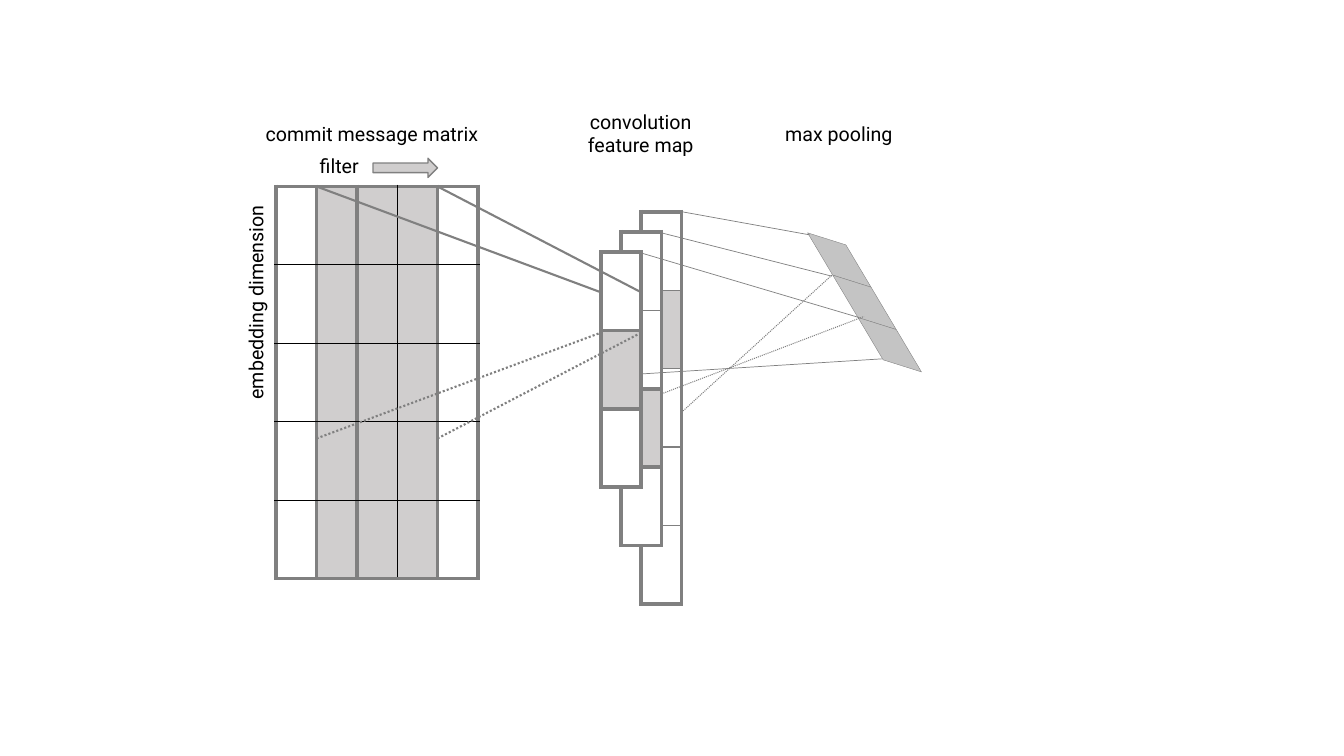
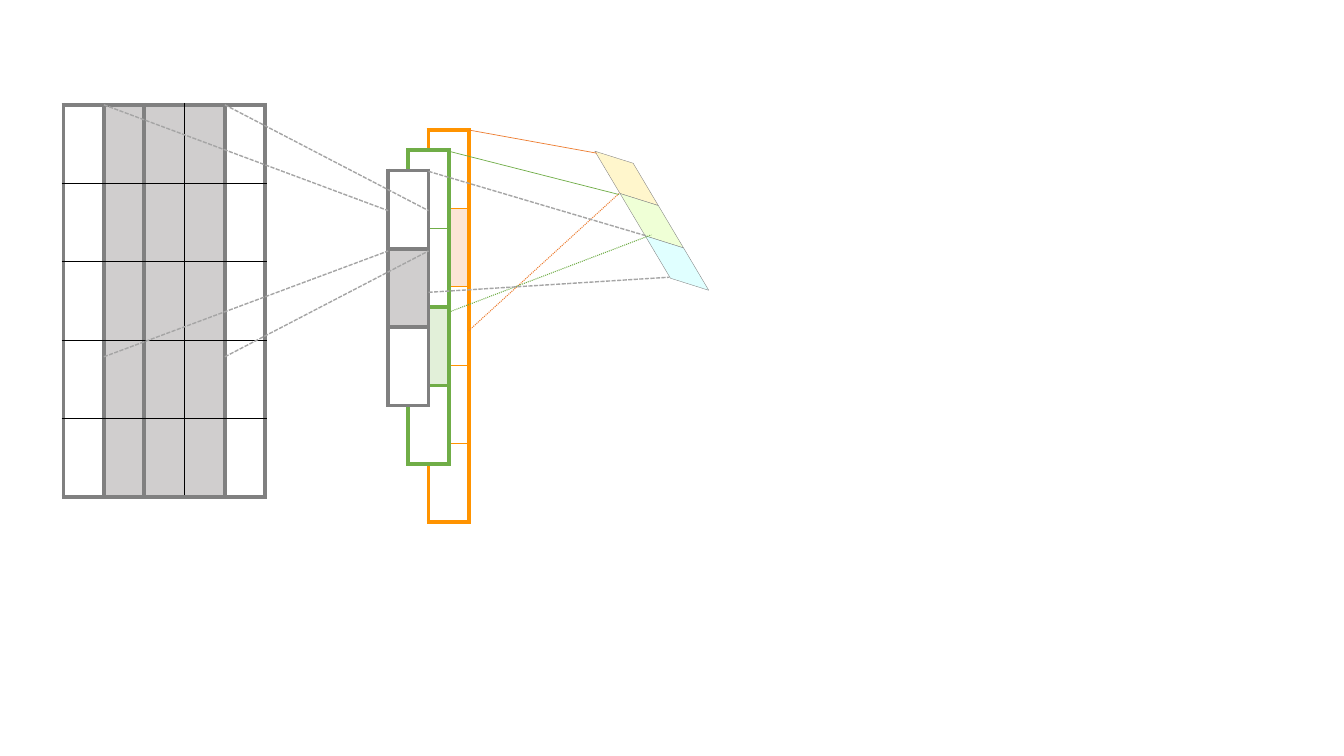
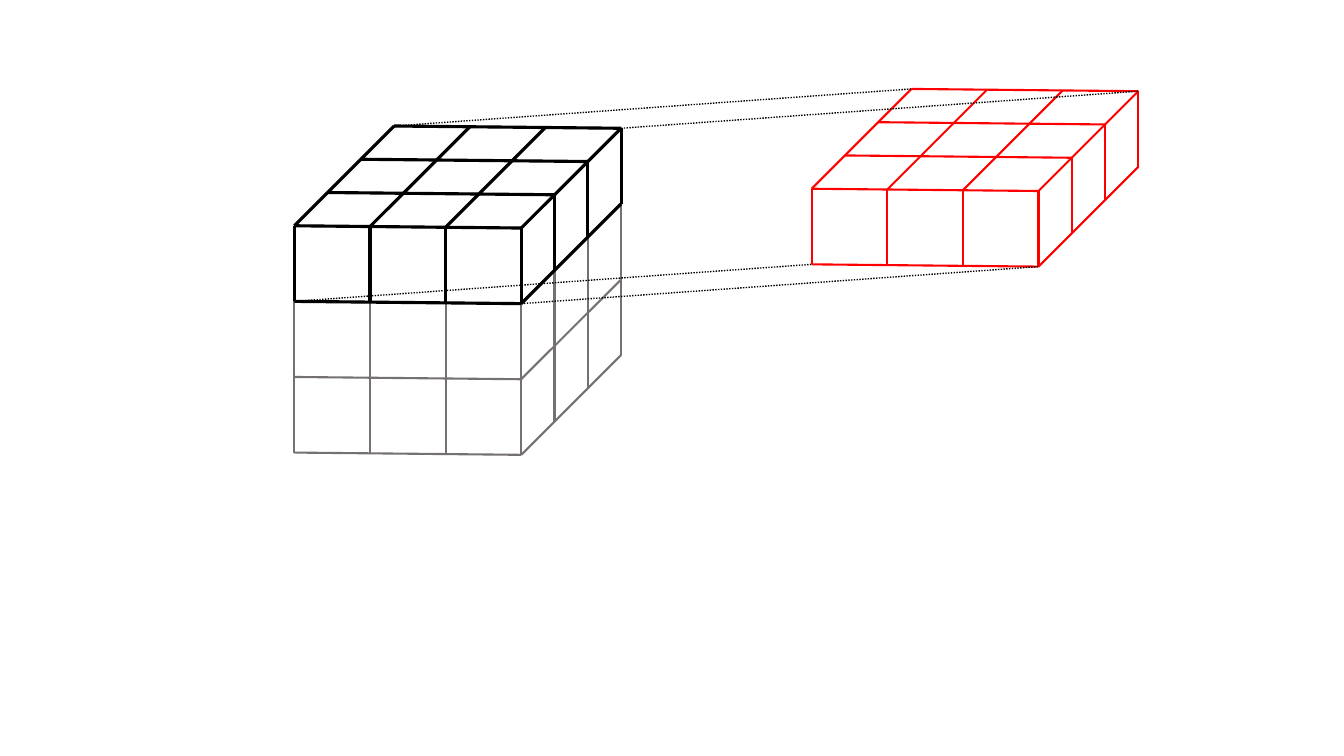
from dataclasses import dataclass

from pptx import Presentation
from pptx.dml.color import RGBColor
from pptx.enum.dml import MSO_LINE
from pptx.enum.shapes import MSO_CONNECTOR, MSO_SHAPE
from pptx.enum.text import MSO_AUTO_SIZE, PP_ALIGN
from pptx.oxml.ns import qn
from pptx.util import Inches, Pt
from lxml.etree import SubElement


@dataclass(frozen=True)
class Theme:
    font: str = "Roboto"
    size: float = 14
    black: str = "000000"
    white: str = "FFFFFF"
    gray: str = "808080"
    shade: str = "D0CECE"
    pooled: str = "C4C4C4"
    dash: str = "A5A5A5"
    cube: str = "767171"
    red: str = "FF0000"
    orange: str = "FF9300"
    coral: str = "ED7D31"
    peach: str = "FBE5D6"
    green: str = "70AD47"
    mint: str = "E2F0D9"
    tints: tuple = ("FFF6CC", "EFFFD6", "E0FFFF")
    thick: float = 3
    bold: float = 2.25
    medium: float = 1.5
    thin: float = 1
    dotted: float = 0.75
    fine: float = 0.5
    hair: float = 0.25


T = Theme()
DOT, DASH = MSO_LINE.ROUND_DOT, MSO_LINE.SQUARE_DOT


class Deck:
    def __init__(self):
        self.prs = Presentation()
        self.prs.slide_width, self.prs.slide_height = Inches(13.33), Inches(7.5)

    def slide(self, left, top, cell):
        self.left, self.top, self.cell = left, top, cell
        self.shapes = self.prs.slides.add_slide(self.prs.slide_layouts[6]).shapes

    def at(self, col, row):
        return Inches(self.left + col * self.cell), Inches(self.top + row * self.cell)

    def span(self, cells):
        return Inches(cells * self.cell)

    def paint(self, sp, fill, line, width):
        sp.shadow.inherit = False
        sp.fill.solid()
        sp.fill.fore_color.rgb = RGBColor.from_string(fill)
        sp.line.color.rgb = RGBColor.from_string(line)
        sp.line.width = Pt(width)

    def line(self, start, end, color, width, dash=None):
        cn = self.shapes.add_connector(MSO_CONNECTOR.STRAIGHT, *self.at(*start), *self.at(*end))
        cn.line.color.rgb = RGBColor.from_string(color)
        cn.line.width = Pt(width)
        if dash:
            cn.line.dash_style = dash
        SubElement(cn.element.spPr, qn("a:effectLst"))

    def arrow(self, col, row, wide, high):
        sp = self.shapes.add_shape(MSO_SHAPE.RIGHT_ARROW, *self.at(col, row),
                                   self.span(wide), self.span(high))
        self.paint(sp, T.shade, T.gray, T.thin)

    def polygon(self, points, fill):
        start, *rest = [self.at(*point) for point in points]
        builder = self.shapes.build_freeform(*start)
        builder.add_line_segments(rest, close=True)
        self.paint(builder.convert_to_shape(), fill, T.gray, T.hair)

    def label(self, text, col, row, wide, high, rotation=0):
        sp = self.shapes.add_textbox(*self.at(col, row), self.span(wide), self.span(high))
        sp.rotation = rotation
        tf = sp.text_frame
        tf.word_wrap = True
        tf.auto_size = MSO_AUTO_SIZE.SHAPE_TO_FIT_TEXT
        p = tf.paragraphs[0]
        p.text = text
        p.alignment = PP_ALIGN.CENTER
        font = p.runs[0].font
        font.name, font.size = T.font, Pt(T.size)
        font.color.rgb = RGBColor.from_string(T.black)

    def border(self, cell, edges):
        tc_pr = cell._tc.get_or_add_tcPr()
        for side, (color, width) in zip("LRTB", edges):
            ln = SubElement(tc_pr, qn(f"a:ln{side}"), w=str(Pt(width)))
            SubElement(SubElement(ln, qn("a:solidFill")), qn("a:srgbClr"), val=color)

    def table(self, col, row, wide, high, fills, col_edges, row_edges):
        rows, cols = len(fills), len(fills[0])
        table = self.shapes.add_table(rows, cols, *self.at(col, row),
                                      self.span(cols * wide), self.span(rows * high)).table
        table.first_row = table.horz_banding = False
        for r, line in enumerate(fills):
            for c, fill in enumerate(line):
                cell = table.cell(r, c)
                self.border(cell, (col_edges[c], col_edges[c + 1], row_edges[r], row_edges[r + 1]))
                if fill:
                    cell.fill.solid()
                    cell.fill.fore_color.rgb = RGBColor.from_string(fill)
                else:
                    cell.fill.background()


CELL_W, CELL_H = 2, 3.89
MAP_COL, MAP_ROW = 16.1, 1.25


def convolution(deck, left, top, maps, filter_lines, pool_lines, pool_fills):
    deck.slide(left, top, 0.2)
    thick, thin = (T.gray, T.thick), (T.black, T.thin)
    deck.table(0, 0, CELL_W, CELL_H, [[None, *[T.shade] * 3, None]] * 5,
               [thick] * 3 + [thin] + [thick] * 2, [thick] + [thin] * 4 + [thick])

    inner_edges = ([T.thin] * 4, [T.thin, T.thick, T.thick], [T.thick] * 2)
    for i, ((color, shade), shaded, inner) in enumerate(zip(maps, (1, 2, 1), inner_edges)):
        fills = [[shade if r == shaded else T.white] for r in range(5 - i)]
        deck.table(MAP_COL + 2 - i, MAP_ROW + i, CELL_W, CELL_H, fills, [(color, T.thick)] * 2,
                   [(color, width) for width in (T.thick, *inner, T.thick)])

    for side, target in ((CELL_W, MAP_COL), (4 * CELL_W, MAP_COL + CELL_W)):
        for source_row, target_row, style in zip((0, 12.5), (5.25, 7.25), filter_lines):
            deck.line((side, source_row), (target, target_row), *style)

    for i, fill in enumerate(pool_fills):
        x, y = 26.35 + 1.25 * i, 2.3 + 2.1 * i
        deck.polygon([(x, y), (x + 1.9, y + 0.6), (x + 3.15, y + 2.7), (x + 1.25, y + 2.1)], fill)

    pooling = (((20.1, 1.25), (26.45, 2.4)), ((20.1, 11.2), (27.55, 4.4)),
               ((19.1, 2.3), (27.55, 4.45)), ((19.2, 10.25), (29.15, 6.45)),
               ((18.1, 3.3), (28.9, 6.5)), ((18.1, 9.3), (30.05, 8.55)))
    for (start, end), style in zip(pooling, pool_lines):
        deck.line(start, end, *style)


def gray_convolution(deck):
    solid, dotted = (T.gray, T.fine), (T.gray, T.dotted, DOT)
    convolution(deck, 2.74, 1.85, [(T.gray, T.shade)] * 3,
                [(T.gray, T.medium), (T.gray, T.medium, DOT)],
                [solid, dotted] * 2 + [solid] * 2, [T.pooled] * 3)
    deck.label("embedding dimension", -8.1, 4.9, 14.2, 1.7, 270)
    deck.label("convolution feature map", 13.75, -4.05, 8.65, 2.85)
    deck.label("max pooling", 22.85, -3.45, 10.1, 1.7)
    deck.label("commit message matrix", -2.05, -3.45, 13.6, 1.7)
    deck.arrow(4.8, -1.4, 3.2, 0.95)
    deck.label("filter", 1, -1.85, 4.25, 1.7)


def color_convolution(deck):
    dashed = (T.dash, T.thin, DASH)
    pool_lines = [style for color in (T.coral, T.green)
                  for style in ((color, T.fine), (color, T.dotted, DOT))]
    convolution(deck, 0.63, 1.04,
                [(T.orange, T.peach), (T.green, T.mint), (T.gray, T.shade)],
                [dashed] * 2, pool_lines + [dashed] * 2, T.tints)


def corner(origin, i, j, k):
    return origin[0] + i + 0.44 * k, origin[1] + j + 0.01 * i - 0.44 * k


def block(deck, origin, levels, color, width):
    def edge(start, end):
        deck.line(corner(origin, *start), corner(origin, *end), color, width)

    for n in range(4):
        edge((n, 0, 0), (n, levels, 0))
        edge((n, 0, 0), (n, 0, 3))
        edge((0, 0, n), (3, 0, n))
        if n:
            edge((3, 0, n), (3, levels, n))
    for j in range(1, levels + 1):
        edge((0, j, 0), (3, j, 0))
        edge((3, j, 0), (3, j, 3))


def cube_slice(deck):
    deck.slide(2.92, 2.24, 0.75)
    cube, layer = (0, 0), (6.84, -0.49)
    block(deck, cube, 3, T.cube, T.medium)
    block(deck, cube, 1, T.black, T.bold)
    block(deck, layer, 1, T.red, T.medium)
    for point in ((0, 0, 3), (3, 0, 3), (0, 1, 0), (3, 1, 0)):
        deck.line(corner(cube, *point), corner(layer, *point), T.black, T.thin, DOT)


def main():
    deck = Deck()
    gray_convolution(deck)
    color_convolution(deck)
    cube_slice(deck)
    deck.prs.save("out.pptx")


if __name__ == "__main__":
    main()
